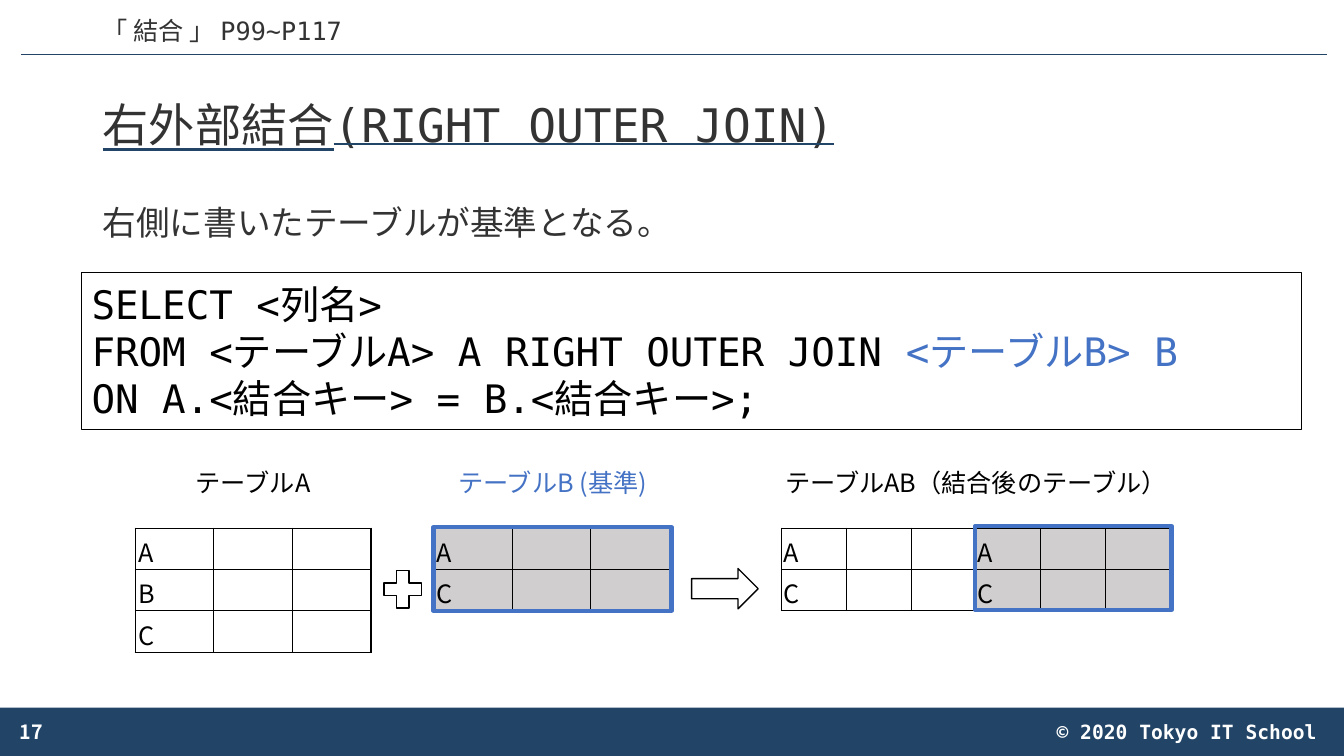
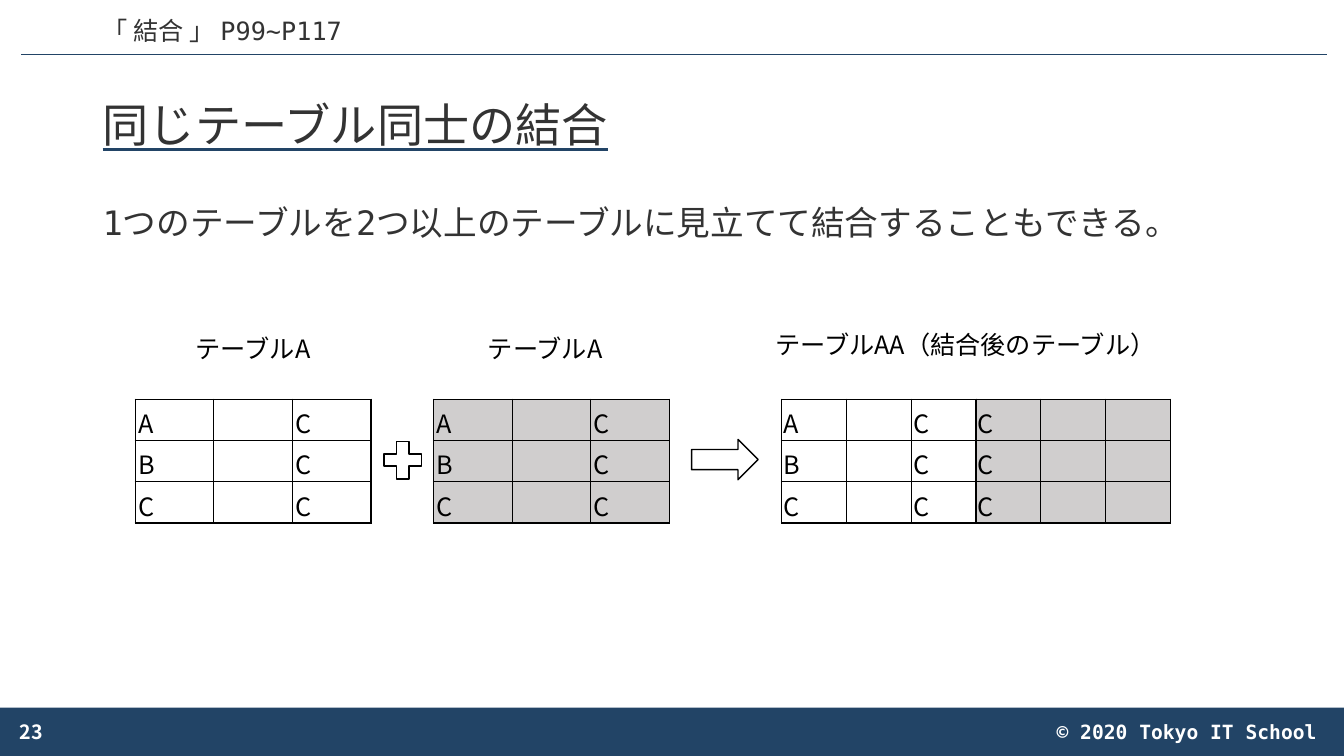
from dataclasses import dataclass

from lxml import etree
from pptx import Presentation
from pptx.dml.color import RGBColor
from pptx.enum.shapes import MSO_CONNECTOR, MSO_SHAPE
from pptx.enum.text import MSO_ANCHOR, PP_ALIGN
from pptx.oxml.ns import qn
from pptx.util import Pt

LEFT, CENTER, RIGHT = PP_ALIGN.LEFT, PP_ALIGN.CENTER, PP_ALIGN.RIGHT
TOP, MIDDLE = MSO_ANCHOR.TOP, MSO_ANCHOR.MIDDLE
RECTANGLE, PLUS, ARROW = MSO_SHAPE.RECTANGLE, MSO_SHAPE.MATH_PLUS, MSO_SHAPE.RIGHT_ARROW
STRAIGHT = MSO_CONNECTOR.STRAIGHT
EMU_PER_PX = 9144
BLANK_LAYOUT = 6
CELL_SIDES = ("a:lnL", "a:lnR", "a:lnT", "a:lnB")


@dataclass(frozen=True)
class Theme:
    navy: str = "224466"
    ink: str = "333333"
    black: str = "000000"
    white: str = "FFFFFF"
    accent: str = "4472C4"
    shade: str = "D0CECE"
    mono: str = "DejaVu Sans Mono"
    sans: str = "Noto Sans CJK JP"
    title_size: int = 33
    code_size: int = 28
    body_size: int = 24
    label_size: int = 18
    footer_size: int = 14


THEME = Theme()


@dataclass(frozen=True)
class Label:
    text: str
    left: int
    top: int
    width: int
    align: PP_ALIGN = CENTER
    color: str = THEME.black


def px(length):
    return round(length * EMU_PER_PX)


def place(left, top, width, height):
    return px(left), px(top), px(width), px(height)


def rgb(color):
    return RGBColor.from_string(color)


def style(para, size, color, font=THEME.sans, bold=False):
    para.font.size = Pt(size)
    para.font.bold = bold
    para.font.color.rgb = rgb(color)
    para.font.name = font
    latin = para.font._element.find(qn("a:latin")) if hasattr(para.font, "_element") else \
        para._p.pPr.find(qn("a:defRPr")).find(qn("a:latin"))
    east_asian = etree.Element(qn("a:ea"), typeface=THEME.sans)
    latin.addnext(east_asian)
    return latin


def underline(para, latin, color):
    para.font.underline = True
    fill = etree.Element(qn("a:uFill"))
    solid = etree.SubElement(fill, qn("a:solidFill"))
    etree.SubElement(solid, qn("a:srgbClr"), val=color)
    latin.addprevious(fill)


def add_text(page, box, text, size, color, font=THEME.sans, align=LEFT,
             anchor=TOP, bold=False, spacing=1.0, rule=None):
    frame = page.shapes.add_textbox(*place(*box)).text_frame
    frame.word_wrap = True
    frame.vertical_anchor = anchor
    para = frame.paragraphs[0]
    para.text = text
    para.alignment = align
    para.line_spacing = spacing
    latin = style(para, size, color, font, bold)
    if rule:
        underline(para, latin, rule)


def add_figure(page, kind, box, fill=None, line=None, weight=1):
    figure = page.shapes.add_shape(kind, *place(*box))
    figure.shadow.inherit = False
    if fill:
        figure.fill.solid()
        figure.fill.fore_color.rgb = rgb(fill)
    else:
        figure.fill.background()
    if line:
        figure.line.color.rgb = rgb(line)
        figure.line.width = Pt(weight)
    else:
        figure.line.fill.background()
    return figure


def add_header(page, box):
    left, top, width, height = box
    add_text(page, (left + 71, top + 10, 859, 40), "「 結合 」 P99~P117",
             THEME.label_size, THEME.ink, THEME.mono)
    bottom = top + height
    rule = page.shapes.add_connector(
        STRAIGHT, px(left), px(bottom), px(left + width), px(bottom))
    rule.line.color.rgb = rgb(THEME.navy)
    rule.line.width = Pt(0.5)
    etree.SubElement(rule._element.spPr, qn("a:effectLst"))


def add_footer(page, box, number):
    left, top, width, height = box
    add_figure(page, RECTANGLE, box, THEME.navy)
    add_text(page, (left + width - 499, top + 7, 482, 34), "© 2020 Tokyo IT School",
             THEME.footer_size, THEME.white, THEME.mono, RIGHT, bold=True)
    add_text(page, (left + 10, top + 4, 300, 40), number,
             THEME.footer_size, THEME.white, anchor=MIDDLE, bold=True)


def add_heading(page, box, title, body):
    left, top, width, height = box
    add_text(page, (left, top, width, 117), title, THEME.title_size, THEME.ink,
             THEME.mono, anchor=MIDDLE, spacing=0.9, rule=THEME.navy)
    add_text(page, (left, top + 132, width, height - 132), body,
             THEME.body_size, THEME.ink, THEME.mono, spacing=0.9)


def add_code(page, box, lines):
    panel = add_figure(page, RECTANGLE, box, line=THEME.black, weight=0.75)
    frame = panel.text_frame
    frame.word_wrap = True
    frame.vertical_anchor = MIDDLE
    for index, spans in enumerate(lines):
        para = frame.add_paragraph() if index else frame.paragraphs[0]
        para.alignment = LEFT
        style(para, THEME.code_size, THEME.black, THEME.mono)
        for text, color in spans:
            span = para.add_run()
            span.text = text
            if color != THEME.black:
                span.font.color.rgb = rgb(color)


def style_cell(cell, fill, margin):
    cell.margin_left = cell.margin_right = px(margin)
    cell.margin_top = cell.margin_bottom = px(5)
    if fill:
        cell.fill.solid()
        cell.fill.fore_color.rgb = rgb(fill)
    else:
        cell.fill.background()
    properties = cell._tc.get_or_add_tcPr()
    for index, side in enumerate(CELL_SIDES):
        border = etree.Element(qn(side), w=str(Pt(1)))
        solid = etree.SubElement(border, qn("a:solidFill"))
        etree.SubElement(solid, qn("a:srgbClr"), val=THEME.black)
        properties.insert(index, border)


def add_grid(page, left, top, width, margin, fill, rows):
    columns = len(rows[0])
    box = place(left, top, width, 41 * len(rows))
    table = page.shapes.add_table(len(rows), columns, *box).table
    table.first_row = table.horz_banding = False
    for column in table.columns:
        column.width = px(width / columns)
    for row_index, values in enumerate(rows):
        table.rows[row_index].height = px(41)
        for column_index, value in enumerate(values):
            cell = table.cell(row_index, column_index)
            style_cell(cell, fill, margin)
            if value:
                para = cell.text_frame.paragraphs[0]
                para.text = value
                style(para, THEME.label_size, THEME.black)


def add_join_diagram(page, origin, grids, labels, highlights=()):
    left, top = origin
    slots = (
        (0, 234, 3, None),
        (296, 234, 3, THEME.shade),
        (641, 193, 2, None),
        (834, 193, 2, THEME.shade),
    )
    for (offset, width, margin, fill), rows in zip(slots, grids):
        add_grid(page, left + offset, top, width, margin, fill, rows)
    add_figure(page, PLUS, (left + 240, top + 35, 51, 51), line=THEME.black)
    add_figure(page, ARROW, (left + 552, top + 40, 66, 40), line=THEME.black)
    for label in labels:
        add_text(page, (left + label.left, top + label.top, label.width, 40),
                 label.text, THEME.label_size, label.color, align=label.align)
    for across, down, width, height in highlights:
        add_figure(page, RECTANGLE, (left + across, top + down, width, height),
                   line=THEME.accent, weight=3)


def add_page(deck, number, title, body):
    page = deck.slides.add_slide(deck.slide_layouts[BLANK_LAYOUT])
    add_footer(page, (0, 702, 1333, 48), number)
    add_header(page, (21, 0, 1295, 54))
    add_heading(page, (92, 68, 1150, 608), title, body)
    return page


def first_column(letters):
    return [(letter, "", "") for letter in letters]


def outer_columns(letters):
    return [(letter, "", "C") for letter in letters]


def add_right_join_page(deck):
    page = add_page(deck, "17", "右外部結合(RIGHT OUTER JOIN)",
                    "右側に書いたテーブルが基準となる。")
    labels = (
        Label("テーブルA", 10, -65, 214),
        Label("テーブルB (基準)", 296, -65, 236, color=THEME.accent),
        Label("テーブルAB（結合後のテーブル）", 625, -65, 418),
    )
    grids = [first_column(letters) for letters in ("ABC", "AC", "AC", "AC")]
    add_join_diagram(page, (134, 524), grids, labels,
                     ((833, -2, 195, 83), (296, -1, 236, 83)))
    add_code(page, (81, 270, 1210, 156), (
        (("SELECT <列名>", THEME.black),),
        (("FROM <テーブルA> A RIGHT OUTER JOIN ", THEME.black),
         ("<テーブルB> B", THEME.accent)),
        (("ON A.<結合キー> = B.<結合キー>;", THEME.black),),
    ))


def add_self_join_page(deck):
    page = add_page(deck, "23", "同じテーブル同士の結合",
                    "1つのテーブルを2つ以上のテーブルに見立てて結合することもできる。")
    labels = (
        Label("テーブルA", 10, -70, 214),
        Label("テーブルA", 340, -70, 146, LEFT),
        Label("テーブルAA（結合後のテーブル）", 625, -74, 418, LEFT),
    )
    source = outer_columns("ABC")
    add_join_diagram(page, (134, 396),
                     (source, source, source, first_column("CCC")), labels)


def main():
    deck = Presentation()
    deck.slide_width, deck.slide_height = px(1333), px(750)
    add_right_join_page(deck)
    add_self_join_page(deck)
    deck.save("out.pptx")


if __name__ == "__main__":
    main()
